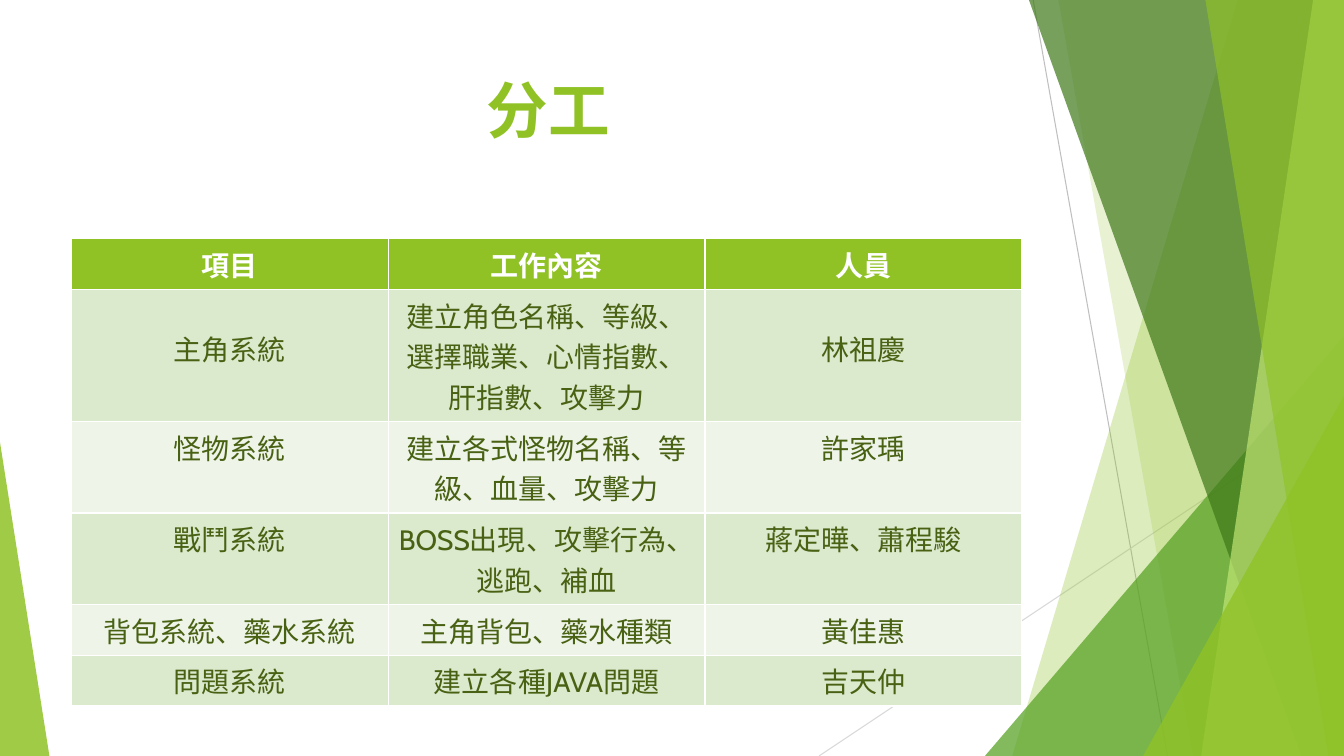
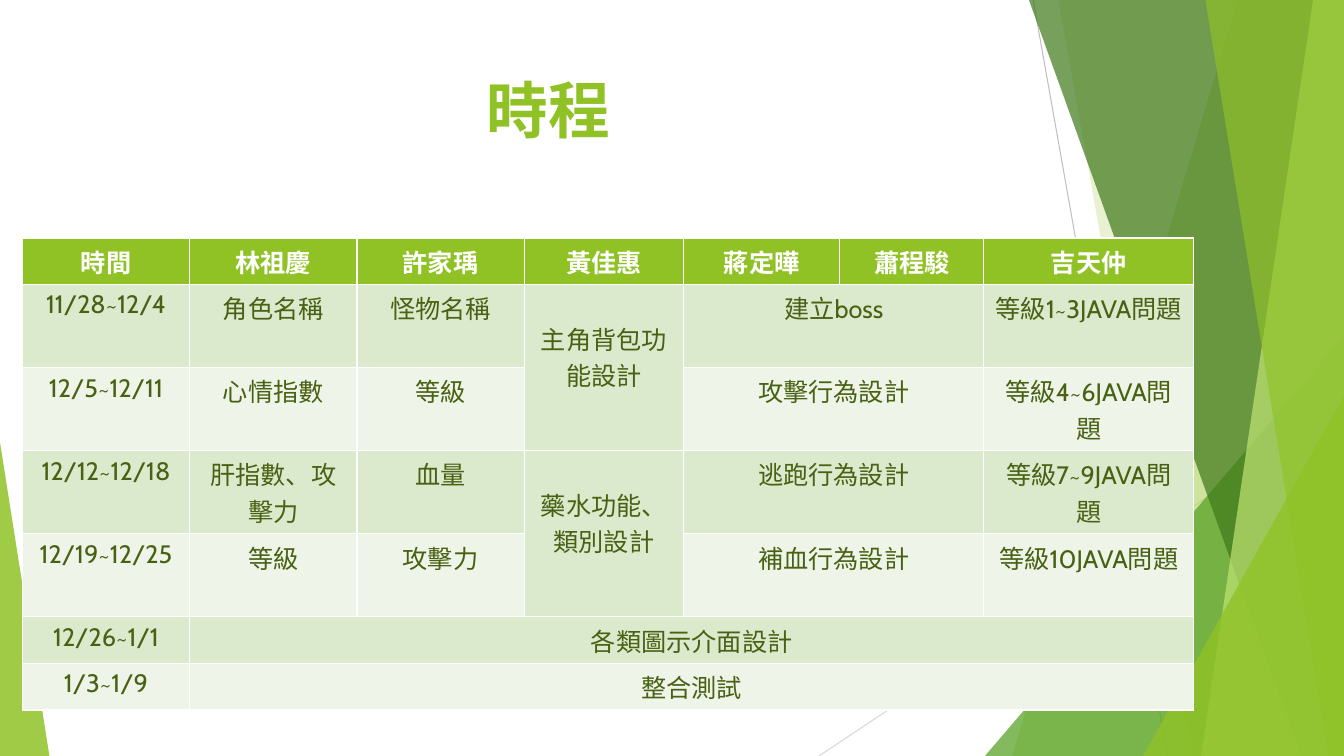
import pptx
import pptx.util
from lxml import etree
from pptx.dml.color import RGBColor
from pptx.enum.shapes import MSO_CONNECTOR, MSO_SHAPE
from pptx.enum.text import MSO_ANCHOR, PP_ALIGN
from pptx.oxml.ns import qn

Pt = pptx.util.Pt
WIDTH, HEIGHT = 960, 540
FONT = "Cabin"
COLORS = {
    "lime": "90C226", "leaf": "54A021", "forest": "3F7819", "pale": "C0E474",
    "text": "486113", "odd_row": "DBE9CD", "even_row": "EEF4E8",
    "white": "FFFFFF", "grey": "BFBFBF", "light_grey": "D9D9D9",
}

# Content: "merges" join (first cell, last cell); "lowered" cells start one line down
SLIDES = [
    {
        "title": "分工",
        "origin": (51, 170.6), "size": 20,
        "columns": [226.3] * 3,
        "heights": [28.8, 71.3, 50.4, 50.4, 28.8, 28.8],
        "rows": [
            ["項目", "工作內容", "人員"],
            ["主角系統", "建立角色名稱、等級、選擇職業、心情指數、肝指數、攻擊力", "林祖慶"],
            ["怪物系統", "建立各式怪物名稱、等級、血量、攻擊力", "許家瑀"],
            ["戰鬥系統", "BOSS出現、攻擊行為、逃跑、補血", "蔣定曄、蕭程駿"],
            ["背包系統、藥水系統", "主角背包、藥水種類", "黃佳惠"],
            ["問題系統", "建立各種JAVA問題", "吉天仲"],
        ],
        "merges": [],
        "lowered": [(1, 0), (1, 2)],
    },
    {
        "title": "時程",
        "origin": (16, 170), "size": 18,
        "columns": [119.5, 119.5, 119.5, 113.8, 111.6, 103, 149.8],
        "heights": [29.5] * 7,
        "rows": [
            ["時間", "林祖慶", "許家瑀", "黃佳惠", "蔣定曄", "蕭程駿", "吉天仲"],
            ["11/28~12/4", "角色名稱", "怪物名稱", "主角背包功能設計", "建立boss", "", "等級1~3JAVA問題"],
            ["12/5~12/11", "心情指數", "等級", "", "攻擊行為設計", "", "等級4~6JAVA問題"],
            ["12/12~12/18", "肝指數、攻擊力", "血量", "藥水功能、類別設計", "逃跑行為設計", "", "等級7~9JAVA問題"],
            ["12/19~12/25", "等級", "攻擊力", "", "補血行為設計", "", "等級10JAVA問題"],
            ["12/26~1/1", "各類圖示介面設計", "", "", "", "", ""],
            ["1/3~1/9", "整合測試", "", "", "", "", ""],
        ],
        "merges": [((row, 4), (row, 5)) for row in range(1, 5)]
                + [((row, 3), (row + 1, 3)) for row in (1, 3)]
                + [((row, 1), (row, 6)) for row in (5, 6)],
        "lowered": [(1, 3), (3, 3)],
    },
]

# Backdrop, from back to front
RAYS = [((738, 0), (834, HEIGHT), "grey"), ((WIDTH, 290), (585, HEIGHT), "light_grey")]
FACETS = [  # wing: top x, bottom x; corner: left, top, width, apex side
    ("wing", (884, 723), "lime", 30),
    ("wing", (756, 852), "lime", 20),
    ("corner", (703.5, 240, 256.5, 1), "leaf", 72),
    ("wing", (735, 929.5), "forest", 70),
    ("wing", (938, 858), "pale", 70),
    ("wing", (861, 949), "lime", 65),
    ("corner", (816.5, 283, 143.5, 1), "lime", 80),
    ("corner", (0, 316, 35.3, 0), "lime", 85),
]


def color(name):
    return RGBColor.from_string(COLORS[name])


def write(frame, text, size, tint, bold):
    frame.text = text
    paragraph = frame.paragraphs[0]
    paragraph.alignment = PP_ALIGN.CENTER
    font = paragraph.font
    font.name, font.size, font.bold = FONT, Pt(size), bold
    font.color.rgb = color(tint)


def add_ray(shapes, start, end, tint):
    ray = shapes.add_connector(MSO_CONNECTOR.STRAIGHT, *map(Pt, start + end))
    ray.line.color.rgb = color(tint)
    ray.line.width = Pt(0.75)
    etree.SubElement(ray.element.spPr, qn("a:effectLst"))


def add_facet(shapes, kind, numbers, tint, opacity):
    if kind == "wing":
        top_x, bottom_x = numbers
        outline = shapes.build_freeform(Pt(top_x), 0)
        corners = [(WIDTH, 0), (WIDTH, HEIGHT), (bottom_x, HEIGHT)]
        outline.add_line_segments([(Pt(x), Pt(y)) for x, y in corners], close=True)
        facet = outline.convert_to_shape()
    else:
        left, top, width, apex = numbers
        facet = shapes.add_shape(MSO_SHAPE.ISOSCELES_TRIANGLE,
                                 Pt(left), Pt(top), Pt(width), Pt(HEIGHT - top))
        facet.adjustments[0] = apex
    facet.shadow.inherit = False
    facet.line.fill.background()
    facet.fill.solid()
    facet.fill.fore_color.rgb = color(tint)
    tone = facet.element.spPr.find(".//" + qn("a:srgbClr"))
    etree.SubElement(tone, qn("a:alpha"), val=str(opacity * 1000))


def style_layout(layout, slide):
    """Give the layout its title position and the backdrop, drawn by way of a slide."""
    title = layout.placeholders[0]
    title.left, title.top, title.width, title.height = map(Pt, (53.3, 48, 677, 104))
    title.text_frame.vertical_anchor = MSO_ANCHOR.TOP
    backdrop = slide.shapes.add_group_shape()
    for ray in RAYS:
        add_ray(backdrop.shapes, *ray)
    for facet in FACETS:
        add_facet(backdrop.shapes, *facet)
    for number, label in enumerate(backdrop.element.iter(qn("p:cNvPr")), 100):
        label.set("id", str(number))
    layout.shapes.element.insert(2, backdrop.element)


def add_grid(slide, content):
    rows, columns, heights = content["rows"], content["columns"], content["heights"]
    size = content["size"]
    left, top = content["origin"]
    grid = slide.shapes.add_table(len(rows), len(columns), Pt(left), Pt(top),
                                  Pt(sum(columns)), Pt(sum(heights))).table
    for column, width in zip(grid.columns, columns):
        column.width = Pt(width)
    for row, height in zip(grid.rows, heights):
        row.height = Pt(height)
    for r, texts in enumerate(rows):
        band = "lime" if r == 0 else "odd_row" if r % 2 else "even_row"
        for c, text in enumerate(texts):
            cell = grid.cell(r, c)
            cell.fill.solid()
            cell.fill.fore_color.rgb = color(band)
            if text:
                write(cell.text_frame, text, size, "text" if r else "white", r == 0)
            if (r, c) in content["lowered"]:
                cell.margin_top = Pt(3.6 + 1.2 * size)
    for first, last in content["merges"]:
        grid.cell(*first).merge(grid.cell(*last))


def main():
    deck = pptx.Presentation()
    deck.slide_width, deck.slide_height = Pt(WIDTH), Pt(HEIGHT)
    layout = deck.slide_layouts[5]
    for index, content in enumerate(SLIDES):
        slide = deck.slides.add_slide(layout)
        if index == 0:
            style_layout(layout, slide)
        write(slide.shapes.title.text_frame, content["title"], 44, "lime", True)
        add_grid(slide, content)
    deck.save("out.pptx")


if __name__ == "__main__":
    main()
